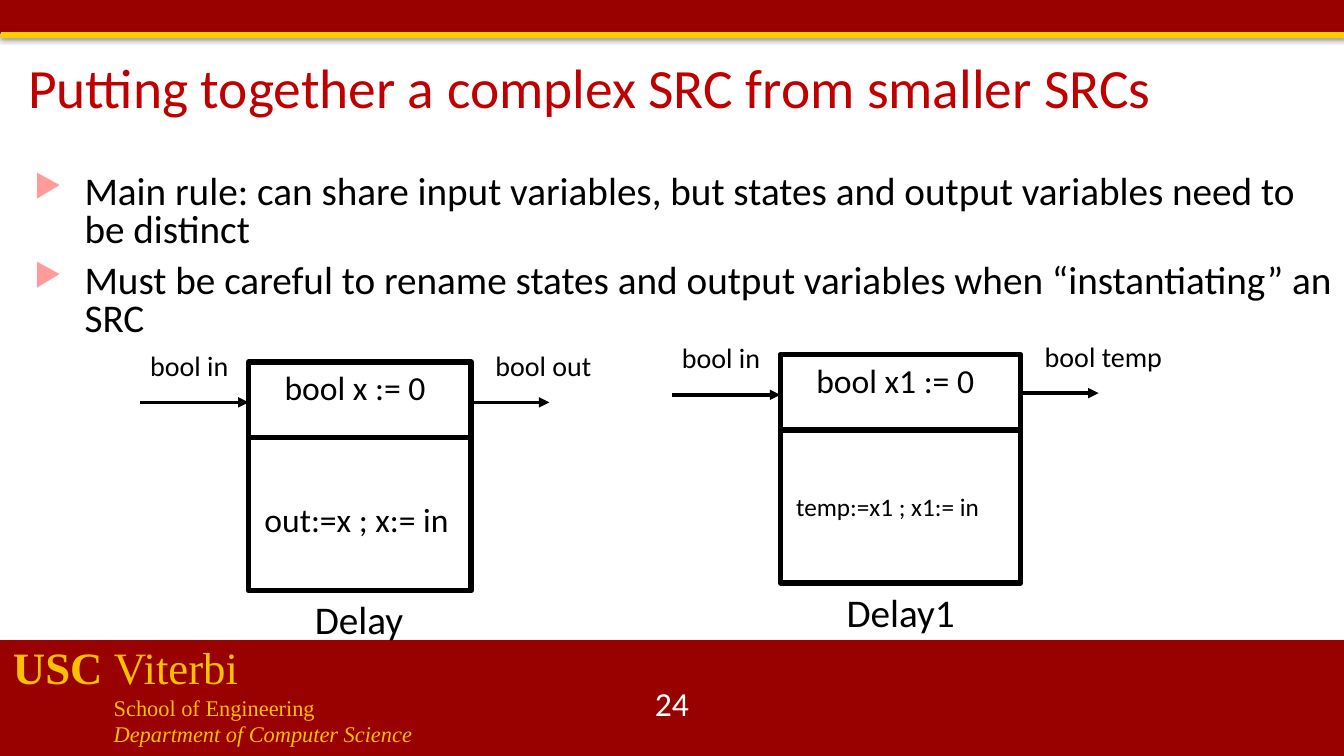
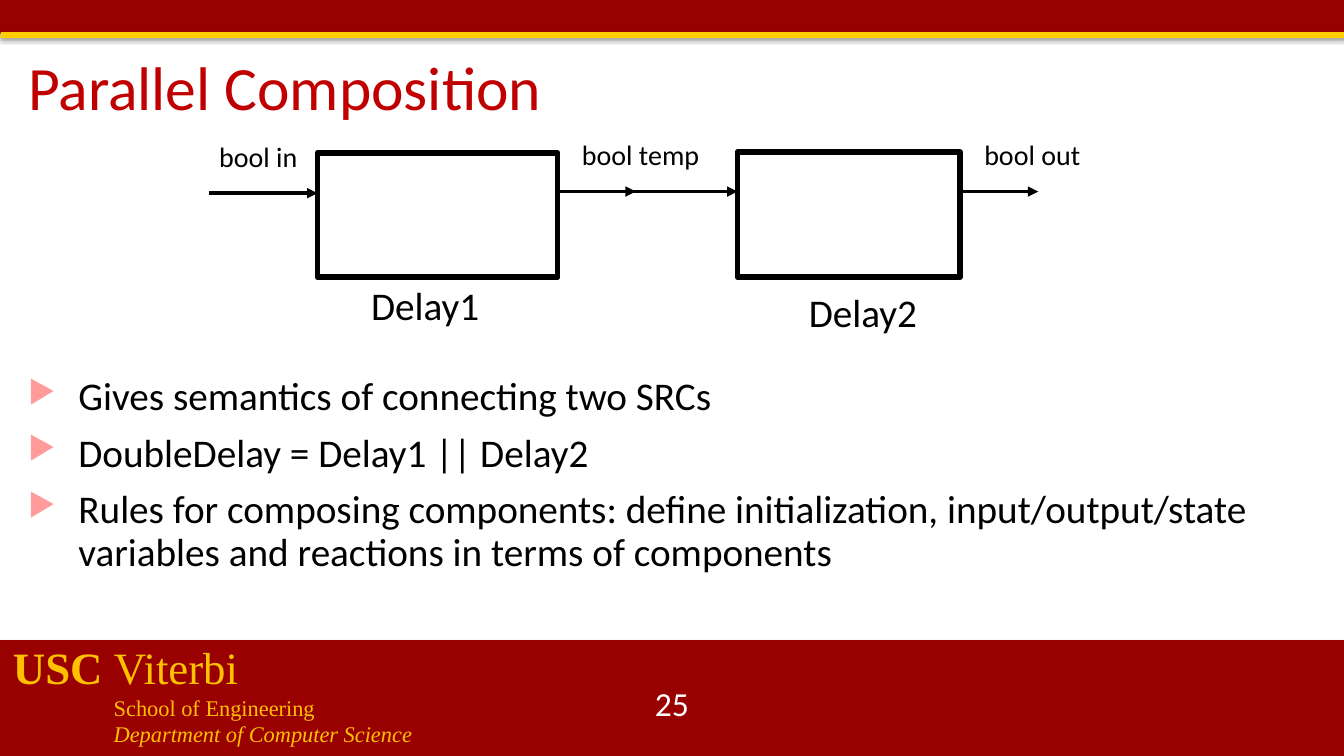
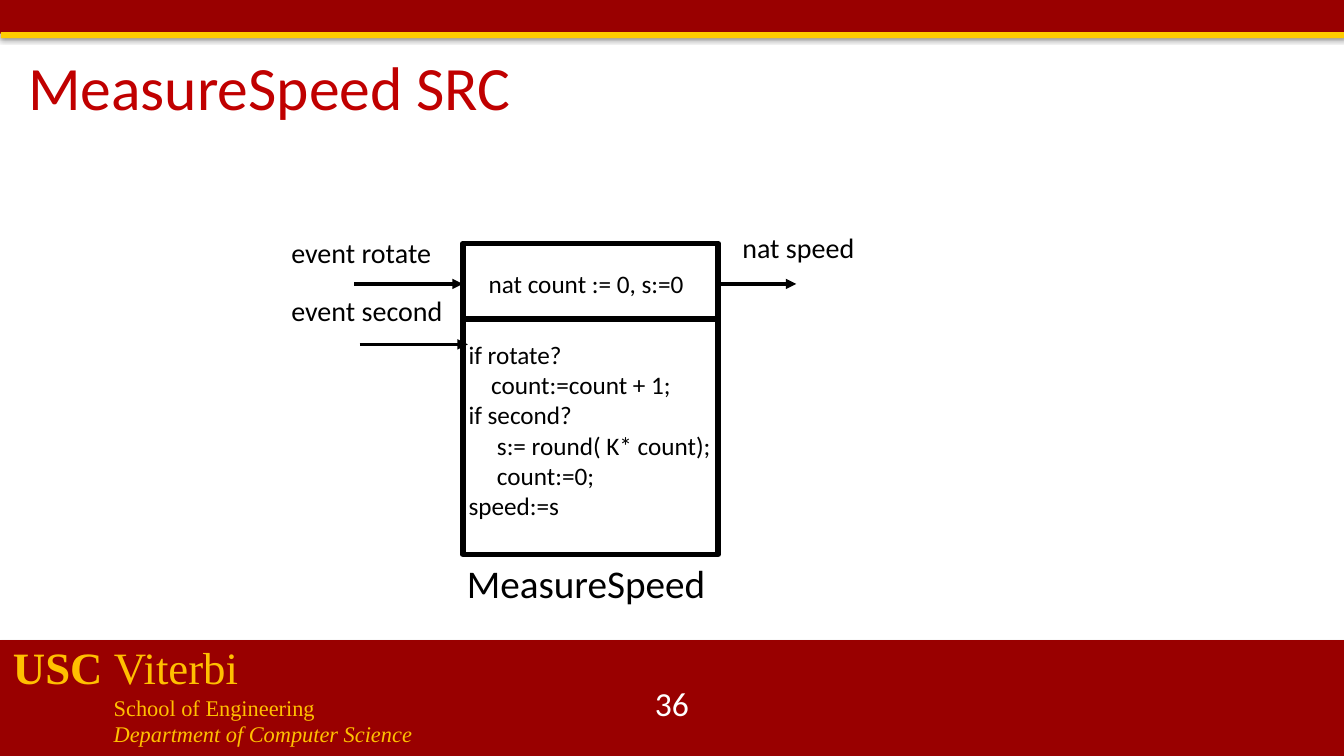
from lxml import etree
from pptx import Presentation, util as u
from pptx.dml.color import RGBColor
from pptx.enum import shapes, text
from pptx.oxml.ns import qn

# Grid of square cells: 160 columns by 90 rows
COLS, ROWS = 160, 90
CELL = u.Inches(7.5) / ROWS
RED, GOLD, YELLOW, TITLE = "990000", "FFC000", "FFCC00", "C00000"
BLACK, WHITE, PINK = "000000", "FFFFFF", "FF9B9B"
SANS, SERIF = "Calibri", "Times New Roman"


def cells(*nums):
    return [u.Emu(round(n * CELL)) for n in nums]


def paint(color, code):
    color.rgb = RGBColor.from_string(code)


def node(parent, tag, **attrs):
    return etree.SubElement(parent, qn(tag), {k: str(v) for k, v in attrs.items()})


def style(run, size, code=BLACK, face=SANS, bold=False, italic=False):
    font = run.font
    font.size, font.name, font.bold, font.italic = u.Pt(size), face, bold, italic
    paint(font.color, code)


def write(slide, box, words, size, code=BLACK, wrap=True, mid=False):
    """Text box with one paragraph per line of words."""
    item = slide.shapes.add_textbox(*cells(*box))
    frame = item.text_frame
    frame.text = words
    frame.word_wrap = wrap
    if not wrap:
        frame.auto_size = text.MSO_AUTO_SIZE.SHAPE_TO_FIT_TEXT
    if mid:
        frame.vertical_anchor = text.MSO_ANCHOR.MIDDLE
    for para in frame.paragraphs:
        for run in para.runs:
            style(run, size, code)
    return frame


def band(slide, box, code, alpha, dist):
    """Filled bar with a soft shadow below."""
    bar = slide.shapes.add_shape(shapes.MSO_SHAPE.RECTANGLE, *cells(*box))
    bar.shadow.inherit = False
    bar.fill.solid()
    paint(bar.fill.fore_color, code)
    bar.line.fill.background()
    glow = node(bar._element.spPr.find(qn("a:effectLst")), "a:outerShdw",
                blurRad=u.Pt(3.1), dist=u.Pt(dist), dir=5400000,
                algn="ctr", rotWithShape=0)
    node(node(glow, "a:srgbClr", val=BLACK), "a:alpha", val=alpha * 1000)


def brand(slide, box):
    """School name in the footer."""
    frame = write(slide, box, "USC \nSchool of Engineering\n"
                  "Department of Computer Science", 16, GOLD)
    head, school, dept = frame.paragraphs
    head.add_run().text = "Viterbi"
    for run, bold in zip(head.runs, (True, False)):
        style(run, 32, GOLD, SERIF, bold)
    for para, slant in ((school, False), (dept, True)):
        para._p.get_or_add_pPr().set("marL", str(u.Inches(1)))
        style(para.runs[0], 16, GOLD, SERIF, italic=slant)


def page(deck, title, num, size=44):
    """Slide with bands, footer, title and number."""
    slide = deck.slides.add_slide(deck.slide_layouts[6])
    band(slide, (0, 76.2, COLS, 13.8), RED, 35, 1.8)
    brand(slide, (0.36, 75.6, 75, 14.2))
    band(slide, (0, 0, COLS, 4), RED, 35, 1.8)
    band(slide, (0.1, 3.84, COLS, 0.72), YELLOW, 38, 1.6)
    head = write(slide, (2.16, 5.64, 143.3, 10.2), title, size, TITLE, mid=True)
    head.paragraphs[0].line_spacing = 0.9
    foot = write(slide, (62, 81.36, 36, 4.8), str(num), 24, WHITE, mid=True)
    foot.paragraphs[0].alignment = text.PP_ALIGN.CENTER
    return slide


def points(slide, box, lines, space):
    """Bulleted list."""
    frame = write(slide, box, "\n".join(lines), 28)
    for i, para in enumerate(frame.paragraphs):
        props = para._p.get_or_add_pPr()
        props.set("marL", str(u.Inches(0.5)))
        props.set("indent", str(-u.Inches(0.5)))
        node(node(props, "a:buClr"), "a:srgbClr", val=PINK)
        node(props, "a:buSzPct", val=80000)
        node(props, "a:buChar", char="▶")
        para.line_spacing = space
        if i:
            para.space_before = u.Pt(10)


def rule(slide, x, y, span, width=2.5, arrow=True):
    """Level line, with an arrowhead at its right end if wanted."""
    line = slide.shapes.add_connector(
        shapes.MSO_CONNECTOR.STRAIGHT, *cells(x, y, x + span, y))
    line.line.width = u.Pt(width)
    paint(line.line.color, BLACK)
    if arrow:
        node(line.line._get_or_add_ln(), "a:tailEnd", type="triangle")
    node(line._element.spPr, "a:effectLst")


def label(slide, x, y, words, wide, size):
    rows = size * 0.2 * len(words.split("\n")) + 1.2
    write(slide, (x, y, wide, rows), words, size, wrap=False)


def inlet(slide, box, y=4.8, name="", wide=11.8, lead=12.9, lift=7, shift=0):
    """Arrow into the left side, with its label above."""
    left, top = box[:2]
    rule(slide, left - 12.9 + shift, top + y, 12.9)
    if name:
        label(slide, left - lead, top + y - lift, name, wide, 20)


def outlet(slide, box, name, wide, y=4.8):
    """Arrow out of the right side, with its label above."""
    right, top = box[0] + box[2], box[1]
    rule(slide, right, top + y, 9.3)
    label(slide, right + 1.7, top + y - 7, name, wide, 20)


def block(slide, box, name, wide, dx=6.7, dy=0):
    """Outlined component with its name below."""
    rect = slide.shapes.add_shape(shapes.MSO_SHAPE.RECTANGLE, *cells(*box))
    rect.shadow.inherit = False
    rect.fill.background()
    rect.line.width = u.Pt(4)
    paint(rect.line.color, BLACK)
    label(slide, box[0] + dx, box[1] + box[3] + dy, name, wide, 28)


def inner(slide, box, state, code):
    """Divider, state and code; each text is (words, dx, dy, width, size)."""
    left, top, wide, _ = box
    rule(slide, left, top + 9, wide, 4, False)
    for words, dx, dy, span, size in (state, code):
        label(slide, left + dx, top + dy, words, span, size)


def smaller(deck):
    slide = page(deck, "Putting together a complex SRC from smaller SRCs", 24, 39.6)
    points(slide, (2.88, 20.3, 157.1, 20), [
        "Main rule: can share input variables, but states and output variables "
        "need to be distinct",
        "Must be careful to rename states and output variables when "
        "“instantiating” an SRC"], 0.8)
    parts = [
        ((29.6, 43.1, 26.5, 27.2), ("Delay", 13.1), ("bool out", 13.9, 4.8),
         ("bool x := 0", 19.3), ("out:=x ; x:= in", 24)),
        ((92.9, 42.2, 28.6, 27.2), ("Delay1", 15.5), ("bool temp", 16.6, 4.6),
         ("bool x1 := 0", 21.4), ("temp:=x1 ; x1:= in", 18))]
    for box, name, out, state, (code, size) in parts:
        block(slide, box, *name)
        inlet(slide, box, name="bool in")
        outlet(slide, box, *out)
        inner(slide, box, (state[0], 3.1, 0, state[1], 24),
              (code, 0.7, 15.7, 24.5, size))


def parallel(deck):
    slide = page(deck, "Parallel Composition", 25)
    points(slide, (2.16, 44.3, 153.5, 30.4), [
        "Gives semantics of connecting two SRCs",
        "DoubleDelay = Delay1 || Delay2",
        "Rules for composing components: define initialization, "
        "input/output/state variables and reactions in terms of components"], 0.9)
    first, second = (37.8, 18.2, 28.6, 14.8), (87.8, 18.1, 26.5, 14.9)
    block(slide, first, "Delay1", 15.5, 5.2, -0.1)
    inlet(slide, first, name="bool in")
    outlet(slide, first, "bool temp", 16.6, 4.6)
    block(slide, second, "Delay2", 15.5, 7.3, 0.7)
    inlet(slide, second, 4.7)
    outlet(slide, second, "bool out", 13.9, 4.7)


def speed(deck):
    slide = page(deck, "MeasureSpeed SRC", 36)
    box = (55.1, 29, 30.4, 37)
    block(slide, box, "MeasureSpeed", 31.1, -0.7)
    inlet(slide, box, 4.8, "event rotate", 19.9, 21.6, 6.4)
    inlet(slide, box, 12, "event second", 20.6, 21.6, 6.7, 0.6)
    outlet(slide, box, "nat speed", 15.8)
    code = "\n".join([
        "if rotate?",
        "    count:=count + 1;",
        "if second?",
        "     s:= round( K* count);",
        "     count:=0;",
        "speed:=s"])
    inner(slide, box, ("nat count := 0, s:=0", 1.9, 2.4, 25.9, 18),
          (code, -0.5, 10.8, 31.7, 18))


def main():
    deck = Presentation()
    deck.slide_width, deck.slide_height = cells(COLS, ROWS)
    for make in (smaller, parallel, speed):
        make(deck)
    deck.save("out.pptx")


if __name__ == "__main__":
    main()
